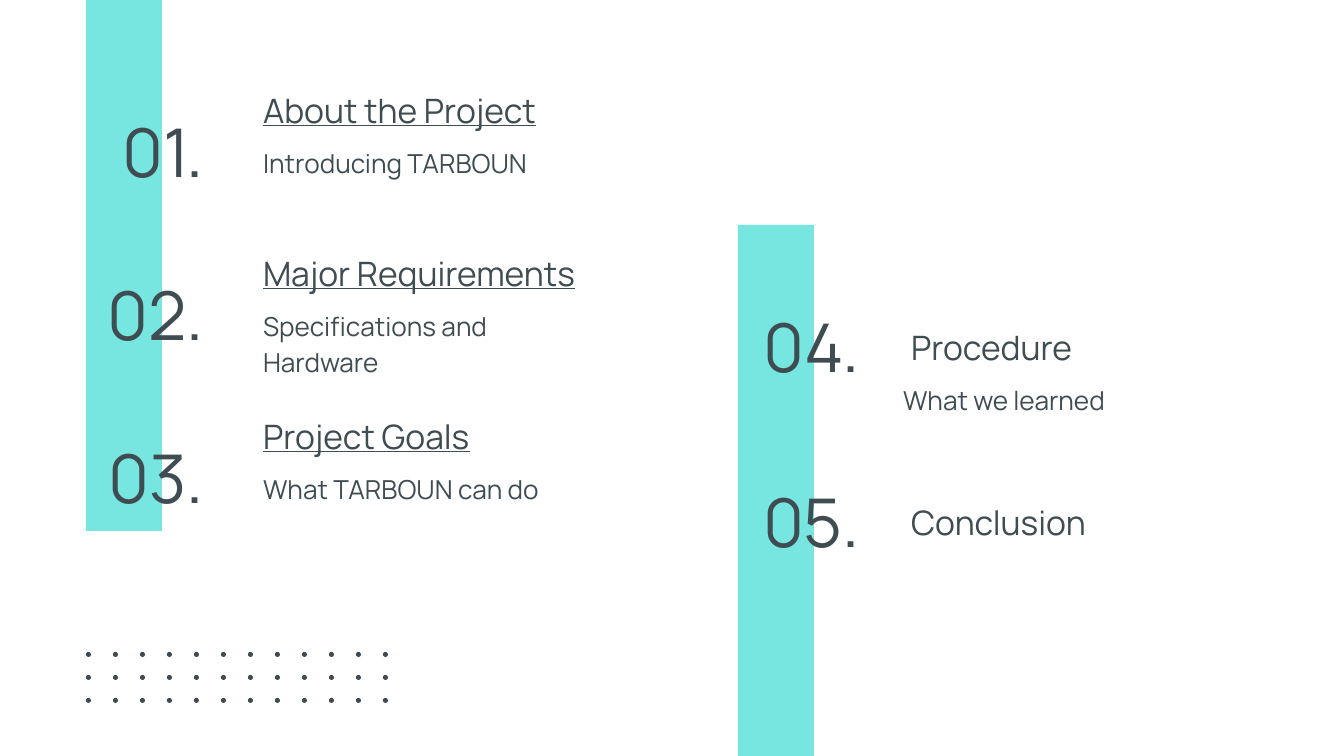
from itertools import product

from lxml.etree import SubElement
from pptx import Presentation
from pptx.dml.color import RGBColor
from pptx.enum.shapes import MSO_SHAPE
from pptx.enum.text import MSO_ANCHOR, MSO_AUTO_SIZE, PP_ALIGN
from pptx.oxml.ns import qn
from pptx.util import Emu, Pt

SCALE = 914400 / 134.4
FONT = "Manrope"
COLORS = {"bar": "77E5E0", "ink": "3F4D53"}
PAD = 13

# number, heading, note, underlined
LEFT = [
    ("01.", "About the Project", "Introducing TARBOUN", True),
    ("02.", "Major Requirements", "Specifications and Hardware", True),
    ("03.", "Project Goals", "What TARBOUN can do", True),
]
RIGHT = [
    ("04.", "Procedure", "What we learned", False),
    ("05.", "Conclusion", None, False),
]


def px(n):
    return Emu(round(n * SCALE))


def color(name):
    return RGBColor.from_string(COLORS[name])


def add_form(slide, kind, box, name):
    form = slide.shapes.add_shape(kind, *map(px, box))
    form.shadow.inherit = False
    form.fill.solid()
    form.fill.fore_color.rgb = color(name)
    form.line.fill.background()


def add_box(slide, box):
    return slide.shapes.add_textbox(*map(px, box))


def set_text(shape, box, text, size, align=PP_ALIGN.LEFT,
             anchor=MSO_ANCHOR.TOP, under=False):
    """Place and fill a text box or placeholder; return its paragraph."""
    shape.left, shape.top, shape.width, shape.height = map(px, box)
    frame = shape.text_frame
    frame.word_wrap = True
    frame.auto_size = MSO_AUTO_SIZE.NONE
    frame.vertical_anchor = anchor
    frame.margin_left = frame.margin_right = px(PAD)
    frame.margin_top = frame.margin_bottom = px(PAD)
    para = frame.paragraphs[0]
    para.alignment = align
    para.space_before = Pt(0)
    run = para.add_run()
    run.text = text
    font = run.font
    font.name, font.size, font.bold = FONT, Pt(size), False
    font.underline = under
    font.color.rgb = color("ink")
    return para


def add_number(slide, x, y, text):
    box = (x, y, 194, 79)
    set_text(add_box(slide, box), box, text, 36,
             PP_ALIGN.RIGHT, MSO_ANCHOR.BOTTOM)


def add_head(slide, x, y, text, under, title):
    box = (x, y, 404, 64)
    set_text(title or add_box(slide, box), box, text, 18, under=under)


def add_note(holder, x, y, text):
    para = set_text(holder, (x, y, 355, 64), text, 14)
    para.line_spacing = 1.15
    para.space_after = Pt(16)
    props = para._p.get_or_add_pPr()
    props.set("marL", "0")
    props.set("indent", "0")
    SubElement(props, qn("a:buNone"))


def add_list(slide, items, x, y, step, drop, shift, title, notes):
    """Stack entries; drop lowers the number, shift moves the note sideways."""
    for i, (number, head, note, under) in enumerate(items):
        top = y + i * step
        add_number(slide, x, top + drop, number)
        add_head(slide, x + 227 - shift, top, head, under,
                 title if i == 0 else None)
        if note:
            add_note(next(notes), x + 227 - 2 * shift, top + 53, note)


def add_dots(slide):
    for row, col in product(range(3), range(12)):
        box = (86 + 27 * col, 652 + 23 * row, 5, 5)
        add_form(slide, MSO_SHAPE.OVAL, box, "ink")


def main():
    deck = Presentation()
    deck.slide_width, deck.slide_height = px(1344), px(756)
    slide = deck.slides.add_slide(deck.slide_layouts.get_by_name("Comparison"))
    title = slide.shapes.title
    kinds = [p for p in slide.placeholders if 1 <= p.placeholder_format.idx <= 4]
    notes = iter(kinds)

    for x, y in ((86, 0), (738, 225)):
        add_form(slide, MSO_SHAPE.RECTANGLE, (x, y, 76, 531), "bar")
    # Bars lie behind the text holders
    tree = slide.shapes._spTree
    for holder in [title, *kinds]:
        tree.append(holder._element)

    add_list(slide, LEFT, 23, 77, 163, 48, 0, title, notes)
    add_list(slide, RIGHT, 679, 314, 175, 6, 8, None, notes)
    add_dots(slide)
    deck.save("out.pptx")


if __name__ == "__main__":
    main()
